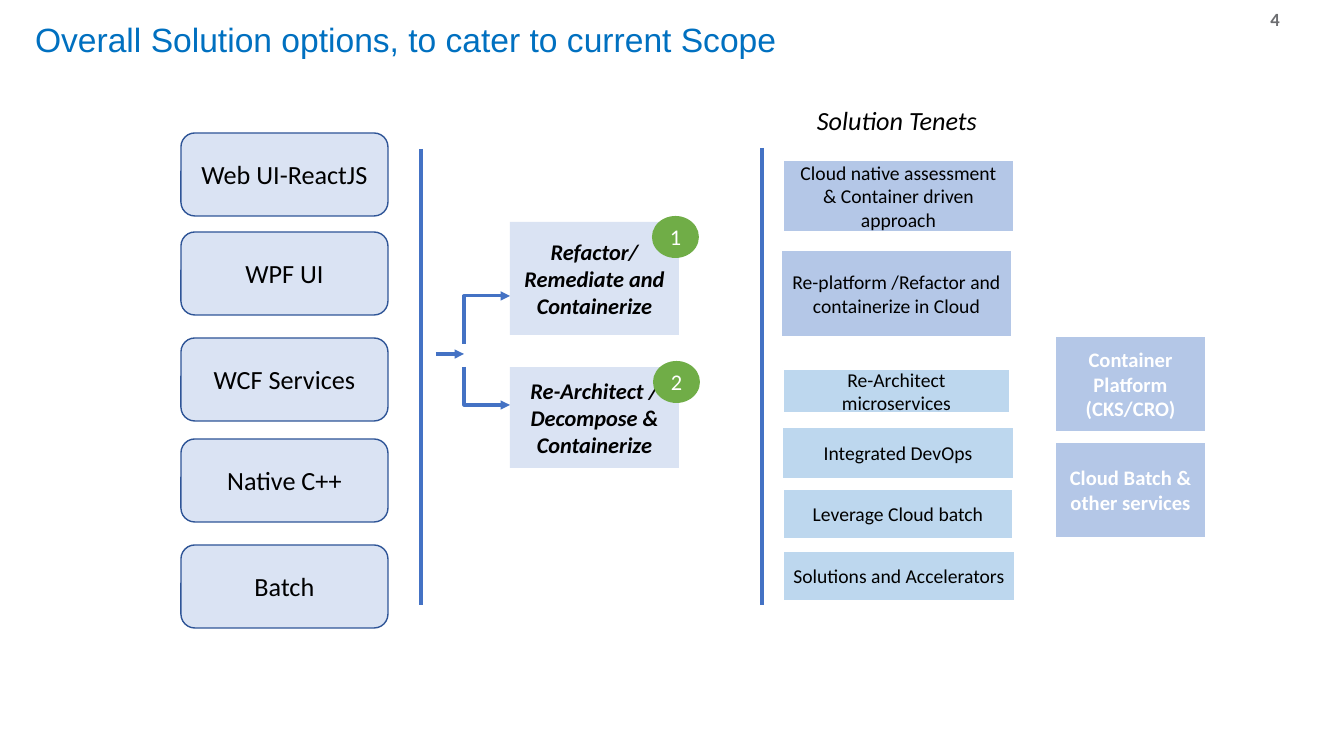
import pptx
import pptx.util
import pptx.dml.color
import pptx.enum.shapes
import pptx.enum.text
import pptx.oxml.ns
import lxml.etree

PX = 914400 / 100.8
KIND = pptx.enum.shapes.MSO_SHAPE
LINK = pptx.enum.shapes.MSO_CONNECTOR
ALIGN = pptx.enum.text.PP_ALIGN
qn = pptx.oxml.ns.qn

deck = pptx.Presentation()
deck.slide_width, deck.slide_height = round(1344 * PX), round(756 * PX)
slide = deck.slides.add_slide(deck.slide_layouts[6])


def color(code):
    return pptx.dml.color.RGBColor.from_string(code)


def add_box(kind, place, text, size, ink="000000", fill=None, edge=None,
            bold=False, italic=False, font="Calibri"):
    """Add a shape, or a text box when kind is None, with one centred text."""
    place = [round(n * PX) for n in place]
    if kind is None:
        box = slide.shapes.add_textbox(*place)
    else:
        box = slide.shapes.add_shape(kind, *place)
        box.shadow.inherit = False
        box.fill.solid()
        box.fill.fore_color.rgb = color(fill)
        if edge:
            box.line.color.rgb = color(edge)
            box.line.width = pptx.util.Pt(1)
        else:
            box.line.fill.background()
    frame = box.text_frame
    frame.word_wrap = True
    frame.vertical_anchor = pptx.enum.text.MSO_ANCHOR.MIDDLE
    para = frame.paragraphs[0]
    para.text = text
    para.alignment = ALIGN.CENTER
    para.font.name, para.font.size = font, pptx.util.Pt(size)
    para.font.bold, para.font.italic = bold, italic
    para.font.color.rgb = color(ink)
    return box


# Title and page number
title = add_box(None, (22, 3, 1254, 78),
                "Overall Solution options, to cater to current Scope",
                24, "0070C0", font="Arial").text_frame
title.margin_left = title.margin_right = round(13 * PX)
title.margin_top = title.margin_bottom = round(7 * PX)
title.paragraphs[0].alignment = ALIGN.LEFT
title.paragraphs[0].line_spacing = 0.9
page = add_box(None, (1262, 6, 26, 26), "4", 13.3, "6D6E71", bold=True).text_frame
page.margin_left = page.margin_right = 0

# Current applications
for top, text in [(133, "Web UI-ReactJS"), (232, "WPF UI"), (338, "WCF Services"),
                  (439, "Native C++"), (545, "Batch")]:
    add_box(KIND.ROUNDED_RECTANGLE, (181, top, 207, 83), text, 18.7,
            fill="DAE3F3", edge="2F5597")

# Solution options with numbered badges
for num, top, high, left, text in [
        (1, 222, 113, 652, "Refactor/ Remediate and Containerize"),
        (2, 367, 101, 653, "Re-Architect / Decompose & Containerize")]:
    add_box(KIND.RECTANGLE, (510, top, 169, high), text, 16,
            fill="DAE3F3", bold=True, italic=True)
    add_box(KIND.OVAL, (left, top - 6, 47, 42), str(num), 16, "FFFFFF", "70AD47")

# Dividers and arrows: kind, ends, arrowhead
for kind, ends, head in [
        (LINK.STRAIGHT, (421, 149, 421, 605), False),
        (LINK.STRAIGHT, (762, 148, 762, 605), False),
        (LINK.STRAIGHT, (436, 354, 464, 354), True),
        (LINK.ELBOW, (464, 344, 510, 296), True),
        (LINK.ELBOW, (464, 367, 510, 405), True)]:
    line = slide.shapes.add_connector(kind, *[round(n * PX) for n in ends])
    line.line.color.rgb = color("4472C4")
    line.line.width = pptx.util.Pt(2.25)
    props = line._element.spPr
    if head:
        lxml.etree.SubElement(props.find(qn("a:ln")), qn("a:tailEnd"), type="triangle")
    if kind == LINK.ELBOW:
        # Turn at the start, so the line leaves vertically
        bend = props.find(qn("a:prstGeom")).find(qn("a:avLst"))
        lxml.etree.SubElement(bend, qn("a:gd"), name="adj1", fmla="val 0")
    lxml.etree.SubElement(props, qn("a:effectLst"))

# Solution tenets
add_box(None, (767, 99, 260, 42), "Solution Tenets", 18.7, italic=True)
for place, fill, text in [
        ((783, 160, 231, 72), "B4C7E7",
         "Cloud native assessment & Container driven approach"),
        ((781, 250, 231, 87), "B4C7E7",
         "Re-platform /Refactor and containerize in Cloud"),
        ((783, 369, 227, 44), "BDD7EE", "Re-Architect microservices"),
        ((782, 427, 232, 52), "BDD7EE", "Integrated DevOps"),
        ((783, 489, 230, 50), "BDD7EE", "Leverage Cloud batch"),
        ((783, 551, 232, 50), "BDD7EE", "Solutions and Accelerators")]:
    add_box(KIND.RECTANGLE, place, text, 14, fill=fill, edge="FFFFFF")

# Target platforms
for top, text in [(337, "Container Platform (CKS/CRO)"),
                  (443, "Cloud Batch & other services")]:
    add_box(KIND.RECTANGLE, (1056, top, 149, 94), text, 14.7,
            "FFFFFF", "B4C7E7", bold=True)

deck.save("out.pptx")
